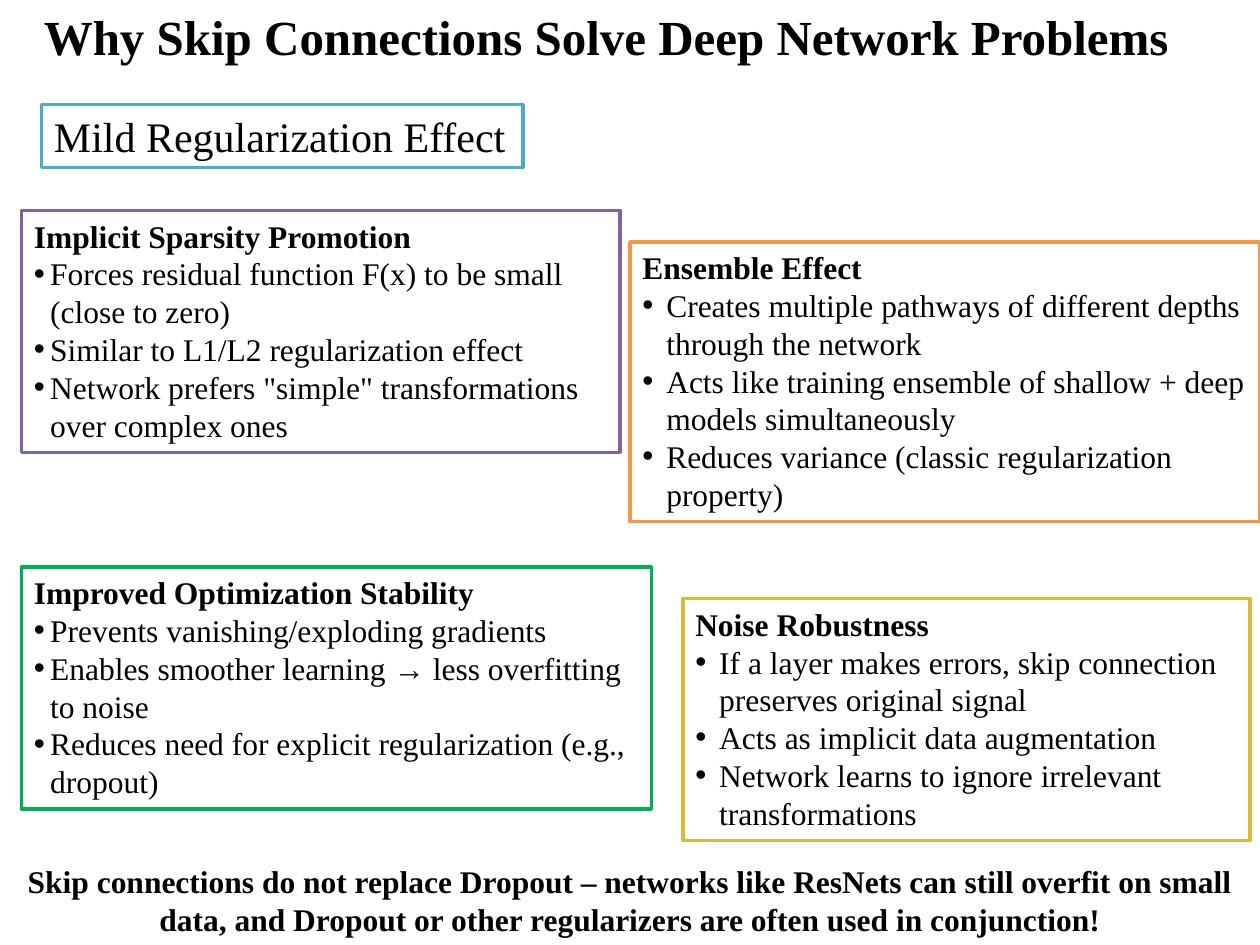
from lxml import etree
from pptx import Presentation
from pptx.dml.color import RGBColor
from pptx.enum import shapes, text
from pptx.oxml.ns import qn
from pptx.util import Inches, Pt

FONT = "Times New Roman"
TITLE = "Why Skip Connections Solve Deep Network Problems"
TOPIC = "Mild Regularization Effect"
NOTE = ("Skip connections do not replace Dropout – networks like ResNets can still "
        "overfit on small data, and Dropout or other regularizers are often used in conjunction!")
CARDS = [
    ((0.17, 1.67, 4.75, 1.92), "8064A2", "FFFFFF", 0.13, "Implicit Sparsity Promotion", [
        "Forces residual function F(x) to be small (close to zero)",
        "Similar to L1/L2 regularization effect",
        'Network prefers "simple" transformations over complex ones']),
    ((5, 1.92, 5, 2.22), "F79646", "FFFFFF", 0.19, "Ensemble Effect", [
        "Creates multiple pathways of different depths through the network",
        "Acts like training ensemble of shallow + deep models simultaneously",
        "Reduces variance (classic regularization property)"]),
    ((0.17, 4.5, 5, 1.92), "00B050", "FFFFFF", 0.13, "Improved Optimization Stability", [
        "Prevents vanishing/exploding gradients",
        "Enables smoother learning → less overfitting to noise",
        "Reduces need for explicit regularization (e.g., dropout)"]),
    ((5.42, 4.75, 4.5, 1.92), "D8BA3A", None, 0.19, "Noise Robustness", [
        "If a layer makes errors, skip connection preserves original signal",
        "Acts as implicit data augmentation",
        "Network learns to ignore irrelevant transformations"]),
]


def rgb(value):
    return RGBColor.from_string(value)


def write(p, words, size, bold=False, align=text.PP_ALIGN.LEFT):
    p.text = words
    p.alignment = align
    p.font.name = FONT
    p.font.size = Pt(size)
    p.font.bold = bold
    p.font.color.rgb = rgb("000000")


def bullet(p, indent):
    pPr = p._p.get_or_add_pPr()
    pPr.set("marL", str(Inches(indent)))
    pPr.set("indent", str(-Inches(indent)))
    font = etree.Element(qn("a:buFont"), typeface="Arial")
    mark = etree.Element(qn("a:buChar"), char="•")
    pPr.insert(0, font)
    font.addnext(mark)


def prepare(tf, wrap=True):
    tf.word_wrap = wrap
    tf.auto_size = text.MSO_AUTO_SIZE.SHAPE_TO_FIT_TEXT
    tf.vertical_anchor = text.MSO_ANCHOR.TOP
    return tf


def add_text(s, box, words, size, align=text.PP_ALIGN.LEFT):
    tf = prepare(s.shapes.add_textbox(*map(Inches, box)).text_frame)
    write(tf.paragraphs[0], words, size, True, align)


def add_frame(s, box, line, fill, wrap=True):
    sp = s.shapes.add_shape(shapes.MSO_SHAPE.RECTANGLE, *map(Inches, box))
    sp.shadow.inherit = False
    if fill:
        sp.fill.solid()
        sp.fill.fore_color.rgb = rgb(fill)
    else:
        sp.fill.background()
    sp.line.color.rgb = rgb(line)
    sp.line.width = Pt(2)
    return prepare(sp.text_frame, wrap)


def main():
    prs = Presentation()
    prs.slide_width, prs.slide_height = Inches(10), Inches(7.5)
    s = prs.slides.add_slide(prs.slide_layouts[6])
    add_text(s, (0.25, 0, 9.5, 0.57), TITLE, 28)
    tf = add_frame(s, (0.33, 0.83, 3.82, 0.5), "4BACC6", "FFFFFF", wrap=False)
    write(tf.paragraphs[0], TOPIC, 24)
    for box, line, fill, indent, heading, points in CARDS:
        tf = add_frame(s, box, line, fill)
        write(tf.paragraphs[0], heading, 18, True)
        for point in points:
            p = tf.add_paragraph()
            write(p, point, 18)
            bullet(p, indent)
    add_text(s, (0, 6.79, 10, 0.71), NOTE, 18, text.PP_ALIGN.CENTER)
    prs.save("out.pptx")


if __name__ == "__main__":
    main()
